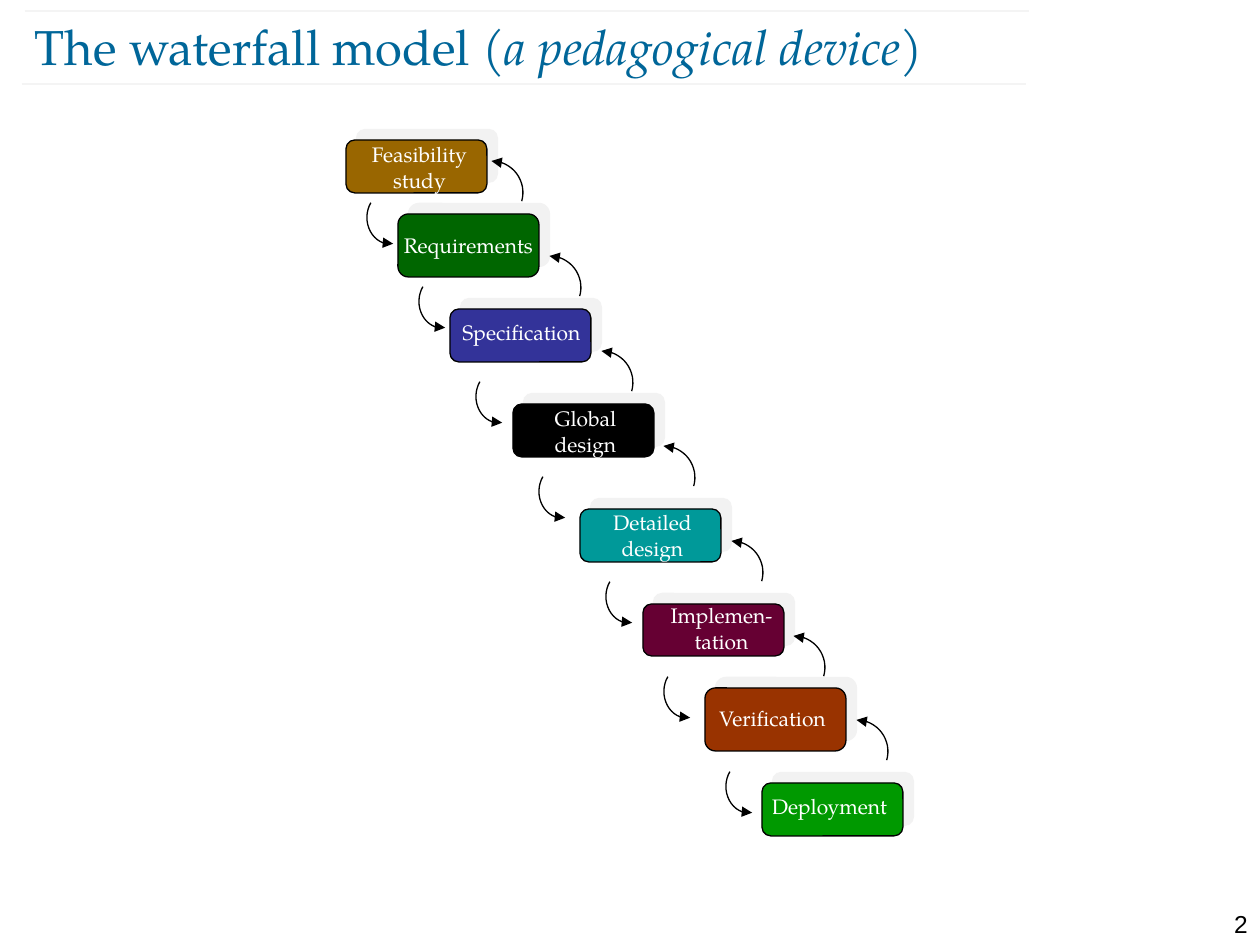
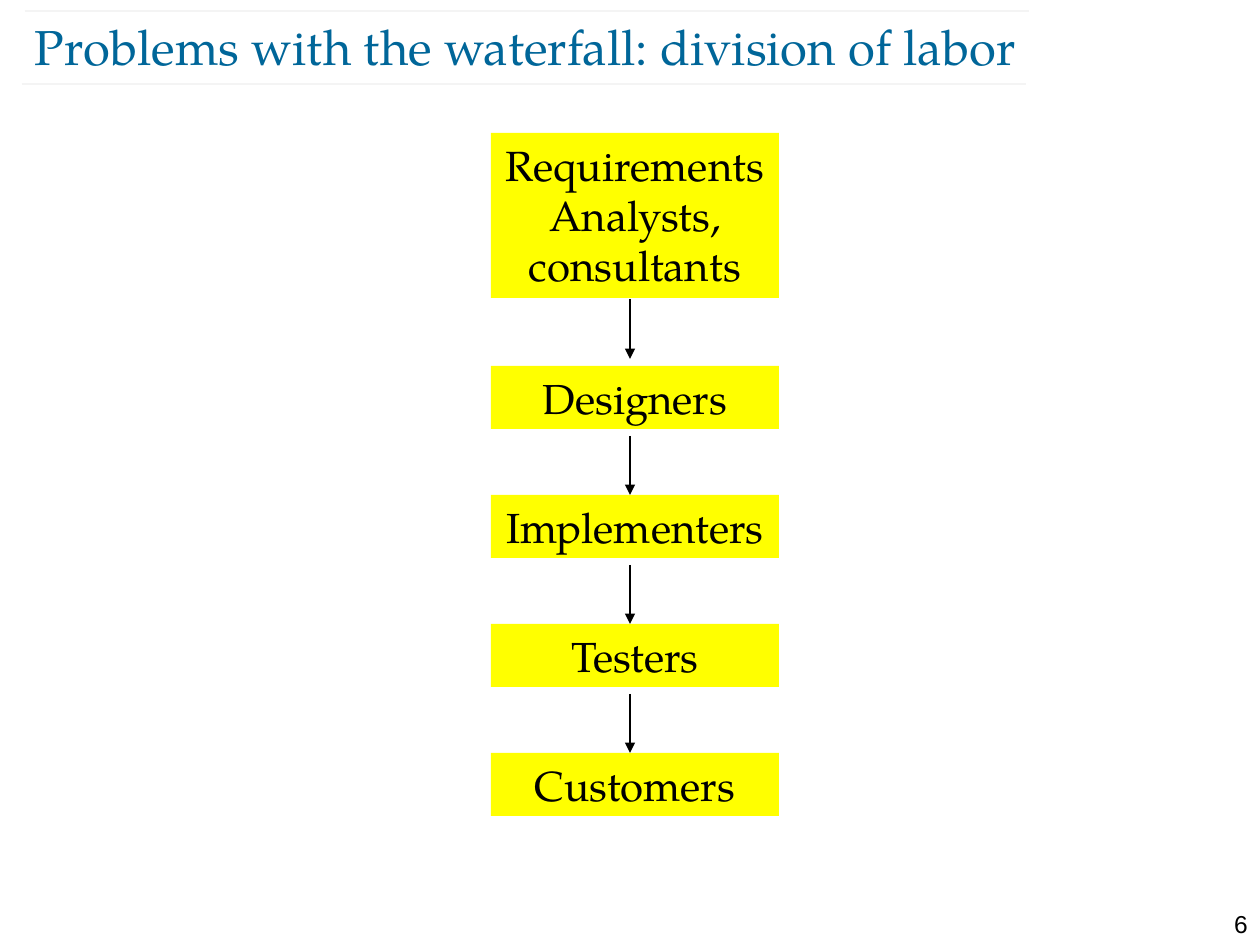
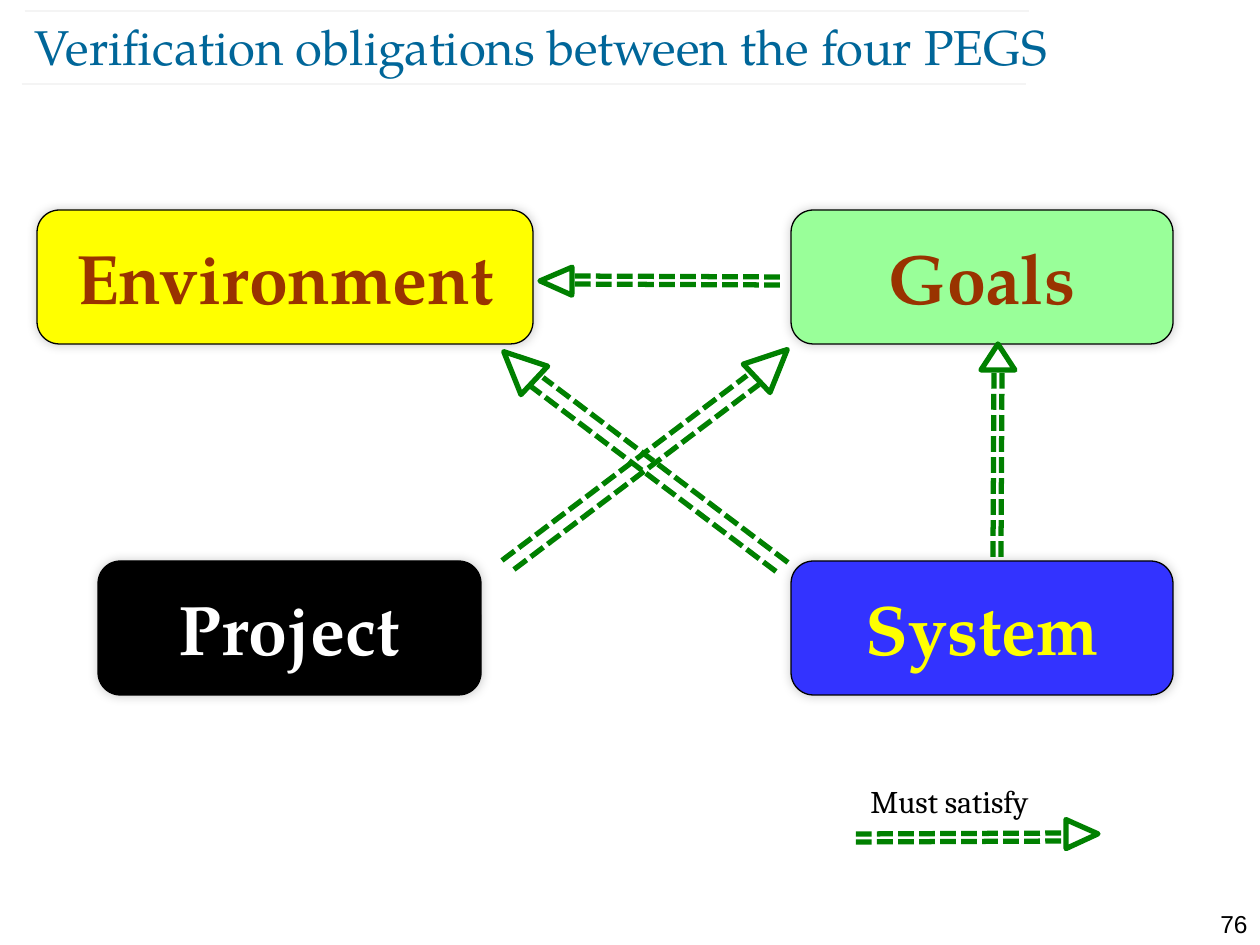
import math

from lxml import etree
from pptx import Presentation
from pptx.dml.color import RGBColor
from pptx.enum.dml import MSO_LINE
from pptx.enum.shapes import MSO_CONNECTOR, MSO_SHAPE
from pptx.enum.text import MSO_ANCHOR, PP_ALIGN
from pptx.oxml.ns import qn
from pptx.util import Pt

LEFT, CENTER, RIGHT = PP_ALIGN.LEFT, PP_ALIGN.CENTER, PP_ALIGN.RIGHT
TOP, MIDDLE = MSO_ANCHOR.TOP, MSO_ANCHOR.MIDDLE
RECT, ROUNDED = MSO_SHAPE.RECTANGLE, MSO_SHAPE.ROUNDED_RECTANGLE
TRIANGLE = MSO_SHAPE.ISOSCELES_TRIANGLE
STRAIGHT = MSO_CONNECTOR.STRAIGHT
SYS_DASH = MSO_LINE.SQUARE_DOT

PX_PER_INCH = 126
EMU_PER_PX = 914400 / PX_PER_INCH

COLORS = {
    "black": "000000", "white": "FFFFFF", "title": "006699", "rule": "F4F4F4",
    "step shadow": "E7E6E6", "ochre": "996600", "forest": "006600",
    "indigo": "333399", "teal": "009999", "plum": "660033", "rust": "993300",
    "green": "009900", "yellow": "FFFF00", "mint": "99FF99", "blue": "3333FF",
    "obligation": "008000",
}

SERIF = "TeX Gyre Pagella"
TITLE = {"name": SERIF, "size": Pt(28)}
NUMBER = {"name": "Arial", "size": Pt(14)}
STEP = {"name": SERIF, "size": Pt(12)}
ROLE = {"name": SERIF, "size": Pt(24)}
PEGS = {"name": SERIF, "size": Pt(40), "bold": True}
LEGEND = {"name": "Cambria", "size": Pt(18)}

# Shadows: colour, opacity %, blur pt, distance pt
STEP_SHADOW = ("step shadow", 50, 0, 8.5)
PEGS_SHADOW = ("black", 20, 6, 0)

# Step: text, colour, box left, top, height, label left, top, width
STEP_WIDTH = 141
STEPS = [
    ("Feasibility\nstudy", "ochre", 346, 140, 53, 357, 142, 125),
    ("Requirements", "forest", 398, 214, 63, 401, 233, 135),
    ("Specification", "indigo", 450, 309, 53, 456, 320, 131),
    ("Global\ndesign", "black", 513, 404, 53, 523, 406, 125),
    ("Detailed\ndesign", "teal", 580, 509, 53, 590, 510, 125),
    ("Implemen-\ntation", "plum", 643, 604, 52, 644, 603, 155),
    ("Verification", "rust", 705, 688, 63, 710, 706, 125),
    ("Deployment", "green", 762, 783, 53, 747, 794, 165),
]
# Left and top of the ellipses that carry the arcs between steps
FORWARD = [(367, 191), (419, 275), (476, 370), (539, 465),
           (606, 570), (664, 665), (726, 760)]
BACK = [(460, 161), (518, 256), (570, 351), (632, 446),
        (700, 541), (762, 636), (825, 720)]
ARC_PARTS = 16


def px(value):
    return round(value * EMU_PER_PX)


def rgb(name):
    return RGBColor.from_string(COLORS[name])


# Formatting
def put_text(shape, runs, font, color, align=LEFT, anchor=TOP, inset=True):
    """Fill a shape with one paragraph; runs are (text, italic) pairs."""
    frame = shape.text_frame
    frame.word_wrap = True
    frame.vertical_anchor = anchor
    if not inset:
        for side in ("left", "top", "right", "bottom"):
            setattr(frame, f"margin_{side}", 0)
    paragraph = frame.paragraphs[0]
    paragraph.alignment = align
    for text, italic in runs:
        for index, line in enumerate(text.split("\n")):
            if index:
                paragraph.add_line_break()
            run = paragraph.add_run()
            run.text = line
            for key, value in font.items():
                setattr(run.font, key, value)
            run.font.italic = italic
            run.font.color.rgb = rgb(color)


def set_line(line, color, width):
    line.color.rgb = rgb(color)
    line.width = Pt(width)


def add_arrowhead(shape, end):
    etree.SubElement(shape.line._get_or_add_ln(), qn(f"a:{end}"), type="triangle")


def add_shadow(shape, color, opacity, blur, distance):
    effects = shape._element.spPr.find(qn("a:effectLst"))
    shadow = etree.SubElement(
        effects, qn("a:outerShdw"), blurRad=str(Pt(blur)), dist=str(Pt(distance)),
        dir=str(315 * 60000), algn="ctr", rotWithShape="0")
    tint = etree.SubElement(shadow, qn("a:srgbClr"), val=COLORS[color])
    etree.SubElement(tint, qn("a:alpha"), val=str(opacity * 1000))


# Elements
def add_label(slide, box, runs, font, color, **layout):
    label = slide.shapes.add_textbox(*map(px, box))
    put_text(label, runs, font, color, **layout)


def add_box(slide, kind, box, fill, outline=None, width=0.75, shadow=None):
    shape = slide.shapes.add_shape(kind, *map(px, box))
    shape.shadow.inherit = False
    shape.fill.solid()
    shape.fill.fore_color.rgb = rgb(fill)
    if outline:
        set_line(shape.line, outline, width)
    else:
        shape.line.fill.background()
    if shadow:
        add_shadow(shape, *shadow)
    return shape


def add_line(slide, start, end, color, width, dash=None, arrow=False):
    line = slide.shapes.add_connector(STRAIGHT, *map(px, (*start, *end)))
    set_line(line.line, color, width)
    if dash:
        line.line.dash_style = dash
    if arrow:
        add_arrowhead(line, "tailEnd")
    etree.SubElement(line._element.spPr, qn("a:effectLst"))


def add_arc(slide, box, start, end, arrow_end):
    """Open arc between two angles (degrees, clockwise from the right)."""
    left, top, width, height = box
    points = []
    for part in range(ARC_PARTS + 1):
        angle = math.radians(start + (end - start) * part / ARC_PARTS)
        points.append((px(left + width / 2 * (1 + math.cos(angle))),
                       px(top + height / 2 * (1 + math.sin(angle)))))
    builder = slide.shapes.build_freeform(*points[0])
    builder.add_line_segments(points[1:], close=False)
    arc = builder.convert_to_shape()
    arc.shadow.inherit = False
    arc.fill.background()
    set_line(arc.line, "black", 0.75)
    add_arrowhead(arc, arrow_end)


def add_obligation(slide, tail, neck, across, center, head, turn):
    """Two dashed lines, set apart by the vector across, and an open triangle."""
    for side in (-0.5, 0.5):
        shift_x, shift_y = across[0] * side, across[1] * side
        add_line(slide, (tail[0] + shift_x, tail[1] + shift_y),
                 (neck[0] + shift_x, neck[1] + shift_y),
                 "obligation", 3, dash=SYS_DASH)
    width, height = head
    box = (center[0] - width / 2, center[1] - height / 2, width, height)
    tip = add_box(slide, TRIANGLE, box, "white", "obligation", 3)
    tip.rotation = turn


def add_slide(deck, number, title):
    """Blank slide with the shared number, rules and title."""
    slide = deck.slides.add_slide(deck.slide_layouts[6])
    add_label(slide, (1191, 903, 69, 30), [(str(number), False)], NUMBER, "black",
              align=RIGHT)
    for left, y in ((22, 84), (25, 11)):
        add_line(slide, (left, y), (left + 1004, y), "rule", 0.75)
    add_label(slide, (35, 15, 1095, 61), title, TITLE, "title",
              anchor=MIDDLE, inset=False)
    return slide


# Slides
def build_waterfall(deck):
    slide = add_slide(deck, 2, [("The waterfall model (", False),
                                ("a pedagogical device", True), (")", False)])
    for text, color, left, top, height, label_left, label_top, label_width in STEPS:
        add_box(slide, ROUNDED, (left, top, STEP_WIDTH, height), color, "black",
                shadow=STEP_SHADOW)
        label_height = 25 * len(text.split("\n"))
        add_label(slide, (label_left, label_top, label_width, label_height),
                  [(text, False)], STEP, "white", align=CENTER, inset=False)
    for left, top in FORWARD:
        add_arc(slide, (left, top, 46, 53), 214, 82, "tailEnd")
    for left, top in BACK:
        add_arc(slide, (left, top, 63, 63), -90, 16, "headEnd")


def build_division(deck):
    slide = add_slide(
        deck, 6, [("Problems with the waterfall: division of labor", False)])
    analysts = "Requirements\nAnalysts, consultants"
    roles = [(analysts, 133, 165)]
    for index, role in enumerate(("Designers", "Implementers", "Testers", "Customers")):
        roles.append((role, 366 + 129 * index, 63))
    for text, top, height in roles:
        box = add_box(slide, RECT, (491, top, 288, height), "yellow")
        put_text(box, [(text, False)], ROLE, "black", align=CENTER)
    handovers = [(299, 359)] + [(436 + 129 * i, 495 + 129 * i) for i in range(3)]
    for start, end in handovers:
        add_line(slide, (630, start), (630, end), "black", 1.5, arrow=True)


def build_obligations(deck):
    slide = add_slide(
        deck, 76, [("Verification obligations between the four PEGS", False)])
    upper, lower, height = 210, 561, 134
    for text, left, top, width, fill, color in (
            ("Environment", 37, upper, 496, "yellow", "rust"),
            ("System", 791, lower, 382, "blue", "yellow"),
            ("Goals", 791, upper, 382, "mint", "rust"),
            ("Project", 98, lower, 383, "black", "white")):
        box = add_box(slide, ROUNDED, (left, top, width, height), fill, "black",
                      shadow=PEGS_SHADOW)
        put_text(box, [(text, False)], PEGS, color, align=CENTER, anchor=MIDDLE)

    # Legend
    add_label(slide, (858, 776, 224, 50), [("Must satisfy", False)], LEGEND, "black")
    add_obligation(slide, (856, 838), (1072, 837), (0, 8), (1082, 834), (29, 32), 89.7)
    # Goals to Environment
    add_obligation(slide, (780, 281), (563, 280), (0, 8), (556, 281), (28, 32), 270.5)
    # Project to Goals
    add_obligation(slide, (508, 565), (753, 380), (12, 9), (772, 364), (39, 42), 46.8)
    # System to Goals
    add_obligation(slide, (997, 557), (998, 373), (8, 0), (998, 357), (34, 26), 0.1)
    # System to Environment
    add_obligation(slide, (782, 567), (537, 382), (12, -9), (519, 366), (39, 42), 313.2)


def main():
    deck = Presentation()
    deck.slide_width, deck.slide_height = px(1260), px(945)
    build_waterfall(deck)
    build_division(deck)
    build_obligations(deck)
    deck.save("out.pptx")


if __name__ == "__main__":
    main()
